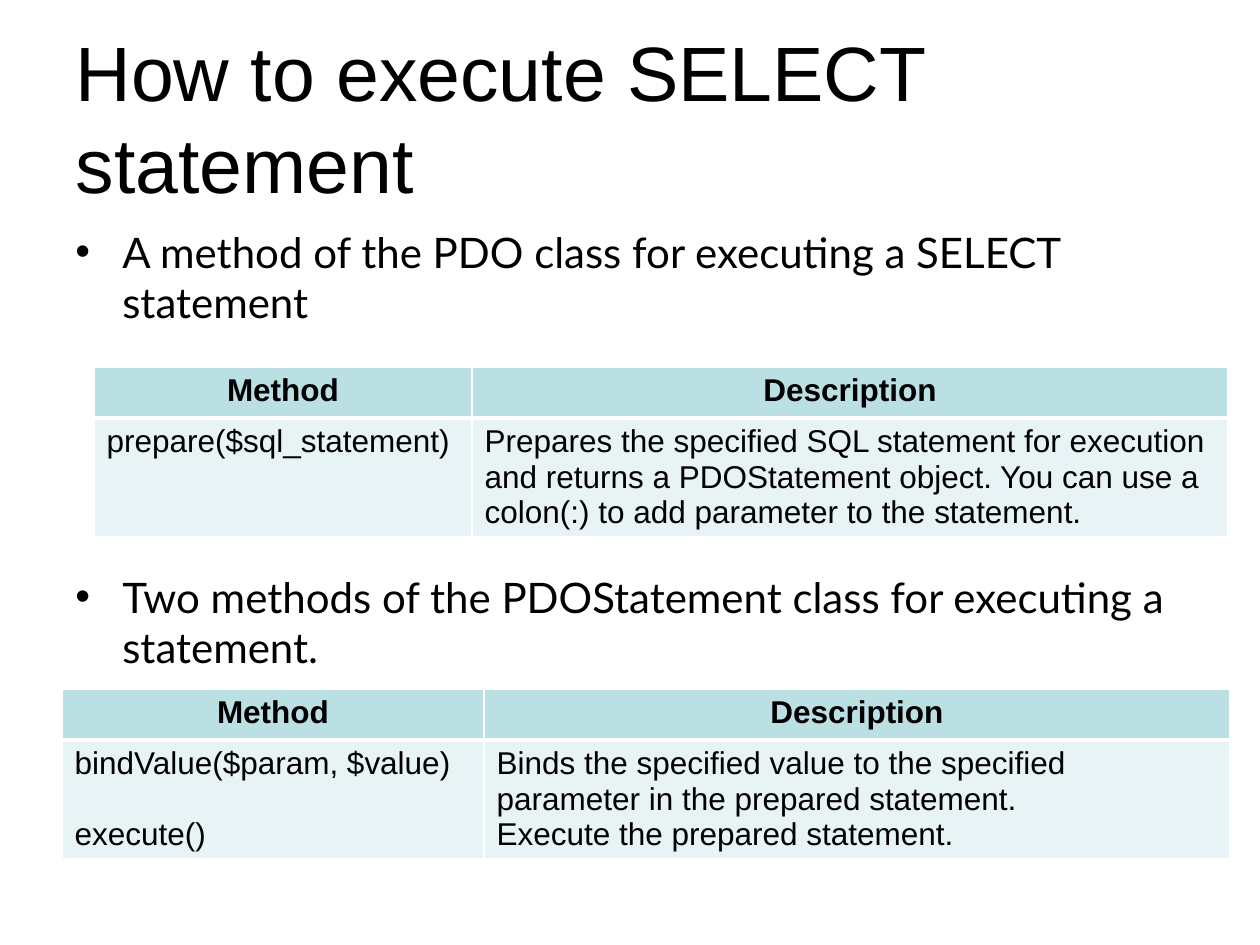
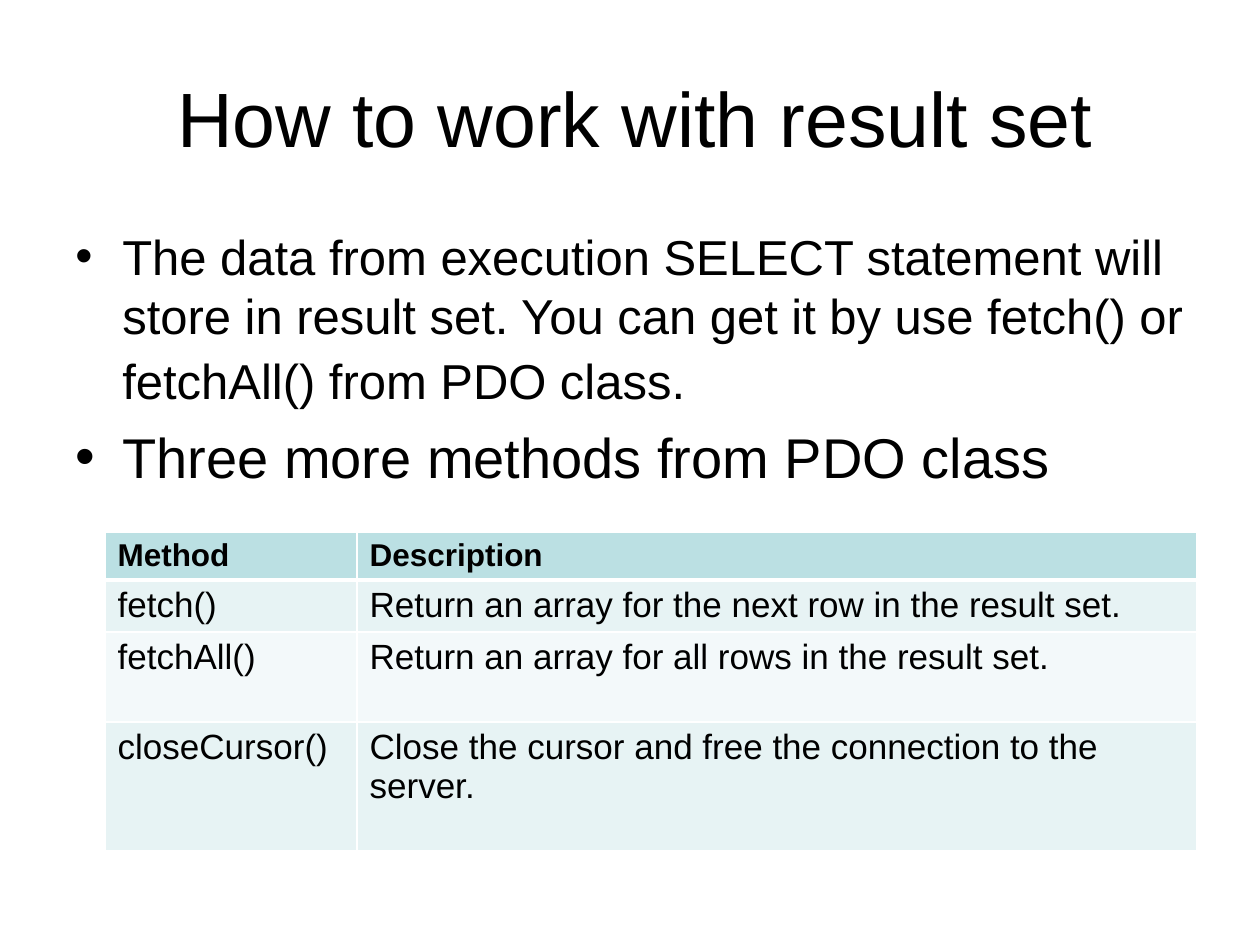
from lxml.etree import SubElement
from pptx import Presentation
from pptx.dml.color import RGBColor
from pptx.enum.text import MSO_ANCHOR as Anchor, MSO_AUTO_SIZE as AutoSize, PP_ALIGN as Align
from pptx.oxml.ns import qn
from pptx.util import Emu, Pt

# Shared look
BLACK, WHITE = "000000", "FFFFFF"
HEADER_FILL = "BBE0E3"
ROW_FILLS = ["E7F3F4", "F3F9FA"]
BODY_BOX = (63, 220, 1134, 624)
BULLET_INDENT = 47
METHOD_GAP = 20.5
TITLE_FORMAT = {"name": "Arial", "size": Pt(44), "bold": False}
HEADER_FORMAT = {"name": "Arial", "size": Pt(18), "bold": True}
FRAME_FORMAT = {"word_wrap": True, "auto_size": AutoSize.NONE}


def px(count):
    return Emu(round(count * 914400 / 126))


def add_run(paragraph, text, font_format, color=BLACK):
    run = paragraph.add_run()
    run.text = text
    for name, value in font_format.items():
        setattr(run.font, name, value)
    run.font.color.rgb = RGBColor.from_string(color)


# Bullets: font, space before, runs of (text, size).
# Tables: position, column widths, row heights, header alignment, text size, rows.
slides = [
    {
        "title": "How to execute SELECT statement",
        "title_box": (63, 38, 1134, 158),
        "title_align": Align.LEFT,
        "bullets": [
            ("Lato", 0, [("A method of the PDO class for executing a SELECT statement", 24)]),
            ("Lato", 139.5, [("Two methods of the PDOStatement class for executing a statement.", 24)]),
        ],
        "tables": [
            ((94, 367), (378, 756), (51, 117), Align.CENTER, 18, [
                ("prepare($sql_statement)",
                 "Prepares the specified SQL statement for execution and returns a "
                 "PDOStatement object. You can use a colon(:) to add parameter to the statement."),
            ]),
            ((62, 689), (422, 746), (51, 117), Align.CENTER, 18, [
                ("bindValue($param, $value)\nexecute()",
                 "Binds the specified value to the specified parameter in the prepared "
                 "statement.\nExecute the prepared statement."),
            ]),
        ],
    },
    {
        "title": "How to work with result set",
        "title_box": (42, 38, 1187, 158),
        "title_align": Align.CENTER,
        "bullets": [
            ("Arial", 0, [("The data from execution SELECT statement will store in result set. "
                           "You can get it by use fetch() or fetchAll() from PDO class.", 28),
                          (" ", 32)]),
            ("Arial", 6.4, [("Three more methods from PDO class", 32)]),
        ],
        "tables": [
            ((105, 532), (252, 840), (47, 52, 90, 129), Align.LEFT, 20, [
                ("fetch()", "Return an array for the next row in the result set."),
                ("fetchAll()", "Return an array for all rows in the result set."),
                ("closeCursor()", "Close the cursor and free the connection to the server."),
            ]),
        ],
    },
]

presentation = Presentation()
presentation.slide_width, presentation.slide_height = px(1260), px(945)

for content in slides:
    slide = presentation.slides.add_slide(presentation.slide_layouts[5])
    slide.background.fill.solid()
    slide.background.fill.fore_color.rgb = RGBColor.from_string(WHITE)

    # Title
    title = slide.shapes.title
    title.left, title.top, title.width, title.height = map(px, content["title_box"])
    title.text_frame.vertical_anchor = Anchor.MIDDLE
    paragraph = title.text_frame.paragraphs[0]
    paragraph.alignment = content["title_align"]
    add_run(paragraph, content["title"], TITLE_FORMAT)

    # Bulleted text
    body = slide.shapes.add_textbox(*map(px, BODY_BOX))
    for frame in (title.text_frame, body.text_frame):
        for name, value in FRAME_FORMAT.items():
            setattr(frame, name, value)
    for index, (font_name, gap, runs) in enumerate(content["bullets"]):
        frame = body.text_frame
        paragraph = frame.add_paragraph() if index else frame.paragraphs[0]
        paragraph.space_before = Pt(gap)
        properties = paragraph._p.get_or_add_pPr()
        properties.set("marL", str(px(BULLET_INDENT)))
        properties.set("indent", str(-px(BULLET_INDENT)))
        SubElement(properties, qn("a:buFont"), typeface="Arial")
        SubElement(properties, qn("a:buChar"), char="•")
        for text, size in runs:
            add_run(paragraph, text, {"name": font_name, "size": Pt(size)})

    # Method tables
    for position, widths, heights, header_align, size, rows in content["tables"]:
        box = (*position, sum(widths), sum(heights))
        table = slide.shapes.add_table(len(heights), len(widths), *map(px, box)).table
        table.first_row = table.horz_banding = False
        for column, width in zip(table.columns, widths):
            column.width = px(width)
        for row, height in zip(table.rows, heights):
            row.height = px(height)

        for row_index, texts in enumerate([("Method", "Description"), *rows]):
            is_header = row_index == 0
            fill = HEADER_FILL if is_header else ROW_FILLS[(row_index - 1) % 2]
            cell_format = HEADER_FORMAT if is_header else {
                "name": "Arial", "size": Pt(size), "bold": False}
            for column_index, text in enumerate(texts):
                cell = table.cell(row_index, column_index)

                # White borders, thick below the header
                properties = cell._tc.get_or_add_tcPr()
                borders = {"L": 1, "R": 1, "T": 3 if row_index == 1 else 1,
                           "B": 3 if is_header else 1}
                for side, points in borders.items():
                    line = SubElement(properties, qn(f"a:ln{side}"), w=str(Pt(points)))
                    SubElement(SubElement(line, qn("a:solidFill")), qn("a:srgbClr"), val=WHITE)
                cell.fill.solid()
                cell.fill.fore_color.rgb = RGBColor.from_string(fill)

                # A later method starts beside its own description
                for index, line_text in enumerate(text.split("\n")):
                    frame = cell.text_frame
                    paragraph = frame.add_paragraph() if index else frame.paragraphs[0]
                    paragraph.alignment = header_align if is_header else Align.LEFT
                    if index and column_index == 0:
                        paragraph.space_before = Pt(METHOD_GAP)
                    add_run(paragraph, line_text, cell_format)

presentation.save("out.pptx")
